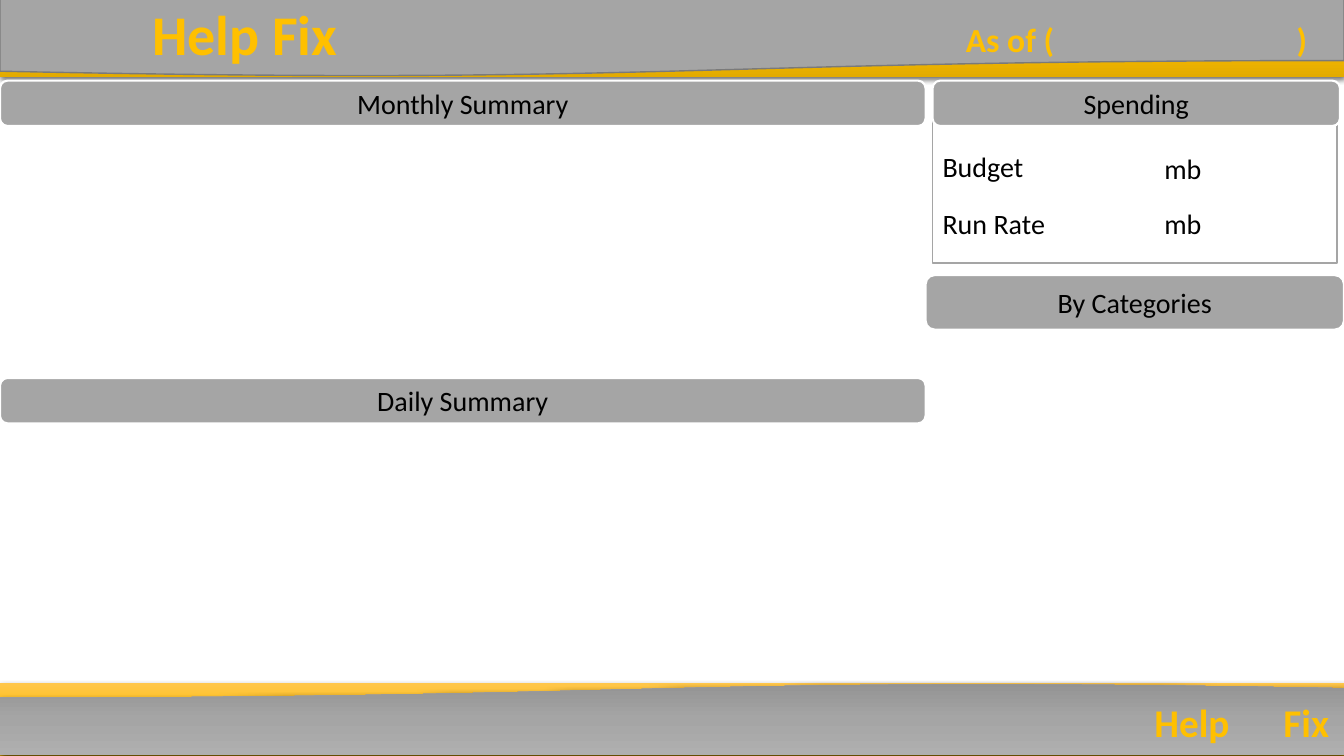
from dataclasses import dataclass

from lxml.etree import SubElement
from pptx import Presentation
from pptx.dml.color import RGBColor
from pptx.enum.shapes import MSO_SHAPE as Preset
from pptx.enum.text import MSO_ANCHOR as Anchor, PP_ALIGN as Align
from pptx.oxml.ns import qn
from pptx.util import Emu, Inches, Pt


@dataclass(frozen=True)
class Theme:
    font: str = "Calibri"
    yellow: str = "FFC000"
    grey: str = "A5A5A5"
    dark_grey: str = "7A7A7A"
    black: str = "000000"
    soft_black: str = "181717"
    white: str = "FFFFFF"
    yellow_shades: tuple = ("FFC64B", "FFC000", "E3AB00")
    grey_shades: tuple = ("AFAFAF", "A5A5A5", "939393")
    title_size: int = 40
    brand_size: int = 28
    date_size: int = 24
    body_size: int = 20


@dataclass(frozen=True)
class Box:
    left: float
    top: float
    width: float
    height: float

    def emu(self) -> tuple:
        return tuple(Inches(v) for v in (self.left, self.top, self.width, self.height))


@dataclass(frozen=True)
class Header:
    text: str
    box: Box


@dataclass(frozen=True)
class Spend:
    label: str
    top: float
    unit_top: float


THEME = Theme()
SLIDE_WIDTH, SLIDE_HEIGHT = 13.33, 7.5
LEFT_WIDTH, BAR_HEIGHT = 9.18, 0.45
SPEND_LEFT, UNIT_LEFT = 9.25, 11.45

MONTHLY = Header("Monthly Summary", Box(0, 0.8, LEFT_WIDTH, BAR_HEIGHT))
LATER_HEADERS = [
    Header("By Categories", Box(LEFT_WIDTH, 2.73, SLIDE_WIDTH - LEFT_WIDTH, 0.54)),
    Header("Spending", Box(SPEND_LEFT, 0.8, 4.04, BAR_HEIGHT)),
    Header("Daily Summary", Box(0, 3.75, LEFT_WIDTH, BAR_HEIGHT)),
]
SPENDS = [Spend("Budget", 1.43, 1.45), Spend("Run Rate", 2, 2)]


def add_plain(shapes, preset, box: Box, fill="", line="", line_width=1.0):
    """Add a preset shape without theme shadow; an empty line colour means no line."""
    shape = shapes.add_shape(preset, *box.emu())
    shape.shadow.inherit = False
    if fill:
        shape.fill.solid()
        shape.fill.fore_color.rgb = RGBColor.from_string(fill)
    if line:
        shape.line.color.rgb = RGBColor.from_string(line)
        shape.line.width = Pt(line_width)
    else:
        shape.line.fill.background()
    return shape


def add_glossy(shapes, preset, box: Box, shades: tuple):
    """Add a shape with a three-stop vertical gradient and a soft shadow."""
    shape = add_plain(shapes, preset, box)
    shape.fill.gradient()
    shape.fill.gradient_angle = 270
    properties = shape.element.spPr
    stops = properties.find(".//" + qn("a:gsLst"))
    for stop in list(stops):
        stops.remove(stop)
    for position, shade in zip((0, 50000, 100000), shades):
        stop = SubElement(stops, qn("a:gs"), pos=str(position))
        SubElement(stop, qn("a:srgbClr"), val=shade)
    shadow = SubElement(properties.find(qn("a:effectLst")), qn("a:outerShdw"),
                        blurRad=str(Pt(4.5)), dist=str(Pt(1.5)), dir="5400000",
                        algn="ctr", rotWithShape="0")
    tint = SubElement(shadow, qn("a:srgbClr"), val=THEME.black)
    SubElement(tint, qn("a:alpha"), val="63000")
    return shape


def write(frame, text: str, size: int, color: str, align=Align.LEFT, outline="", tab=0.0):
    """Write one run; an outline colour also makes it bold."""
    paragraph = frame.paragraphs[0]
    paragraph.alignment = align
    if tab:
        tabs = SubElement(paragraph._p.get_or_add_pPr(), qn("a:tabLst"))
        SubElement(tabs, qn("a:tab"), pos=str(Inches(tab)), algn="l")
    run = paragraph.add_run()
    run.text = text
    run.font.name = THEME.font
    run.font.size = Pt(size)
    run.font.bold = bool(outline)
    run.font.color.rgb = RGBColor.from_string(color)
    if outline:
        properties = run.font._element
        edge = SubElement(properties, qn("a:ln"), w=str(Pt(1)))
        SubElement(SubElement(edge, qn("a:solidFill")), qn("a:srgbClr"), val=outline)
        properties.insert(0, edge)


def set_insets(frame, left=0.16, right=0.16) -> None:
    frame.margin_left, frame.margin_right = Inches(left), Inches(right)
    frame.margin_top = frame.margin_bottom = Inches(0.08)


def add_tabbed(shapes, box: Box, text: str, size: int, outline: str, inset: float, tab: float) -> None:
    """Add a bold line whose second part starts at a tab stop."""
    frame = shapes.add_textbox(*box.emu()).text_frame
    frame.word_wrap = True
    set_insets(frame, inset, 0)
    write(frame, text, size, THEME.yellow, outline=outline, tab=tab)


def add_header(shapes, header: Header) -> None:
    bar = add_plain(shapes, Preset.ROUNDED_RECTANGLE, header.box, THEME.grey, THEME.white, 1.5)
    frame = bar.text_frame
    frame.vertical_anchor = Anchor.MIDDLE
    set_insets(frame)
    write(frame, header.text, THEME.body_size, THEME.black, Align.CENTER)


def add_label(shapes, text: str, left: float, top: float, width: float) -> None:
    frame = shapes.add_textbox(*Box(left, top, width, 0.44).emu()).text_frame
    frame.word_wrap = False
    write(frame, text, THEME.body_size, THEME.black)


deck = Presentation()
deck.slide_width, deck.slide_height = Inches(SLIDE_WIDTH), Inches(SLIDE_HEIGHT)
slide = deck.slides.add_slide(deck.slide_layouts[5])
shapes = slide.shapes
title = shapes.title

# Footer band
footer = shapes.add_group_shape().shapes
add_glossy(footer, Preset.RECTANGLE, Box(0, 6.78, SLIDE_WIDTH, 0.72), THEME.yellow_shades)
wave = add_glossy(footer, Preset.FLOWCHART_DOCUMENT, Box(0, 6.78, SLIDE_WIDTH, 0.71), THEME.grey_shades)
wave.rotation = 180
add_tabbed(footer, Box(11.29, 6.85, 2.07, 0.64), "Help\tFix", THEME.brand_size,
           THEME.black, inset=0.16, tab=1.28)

# Top band with the reporting date
banner = shapes.add_group_shape().shapes
add_glossy(banner, Preset.RECTANGLE, Box(0, -0.05, SLIDE_WIDTH, 0.81), THEME.yellow_shades)
add_plain(banner, Preset.FLOWCHART_DOCUMENT, Box(0, -0.04, SLIDE_WIDTH, 0.8), THEME.grey, THEME.dark_grey)
add_tabbed(banner, Box(9.25, 0.11, 4.05, 0.57), "As of (\t)", THEME.date_size,
           THEME.soft_black, inset=0.33, tab=3.28)

# Title, raised above the band
title.left, title.top, title.width, title.height = Box(1.4, -0.05, 2.06, 0.77).emu()
title.text_frame.word_wrap = False
title.text_frame.vertical_anchor = Anchor.TOP
write(title.text_frame, "Help Fix", THEME.title_size, THEME.yellow, Align.CENTER, THEME.black)
title.element.getparent().append(title.element)

# Section headers and the spending panel
add_header(shapes, MONTHLY)
add_plain(shapes, Preset.RECTANGLE, Box(SPEND_LEFT, 1.14, 4.01, 1.47), THEME.white, THEME.grey)
for spend in SPENDS:
    add_label(shapes, spend.label, SPEND_LEFT, spend.top, 1.23)
    add_label(shapes, "mb", UNIT_LEFT, spend.unit_top, 0.57)
for header in LATER_HEADERS:
    add_header(shapes, header)

deck.save("out.pptx")
